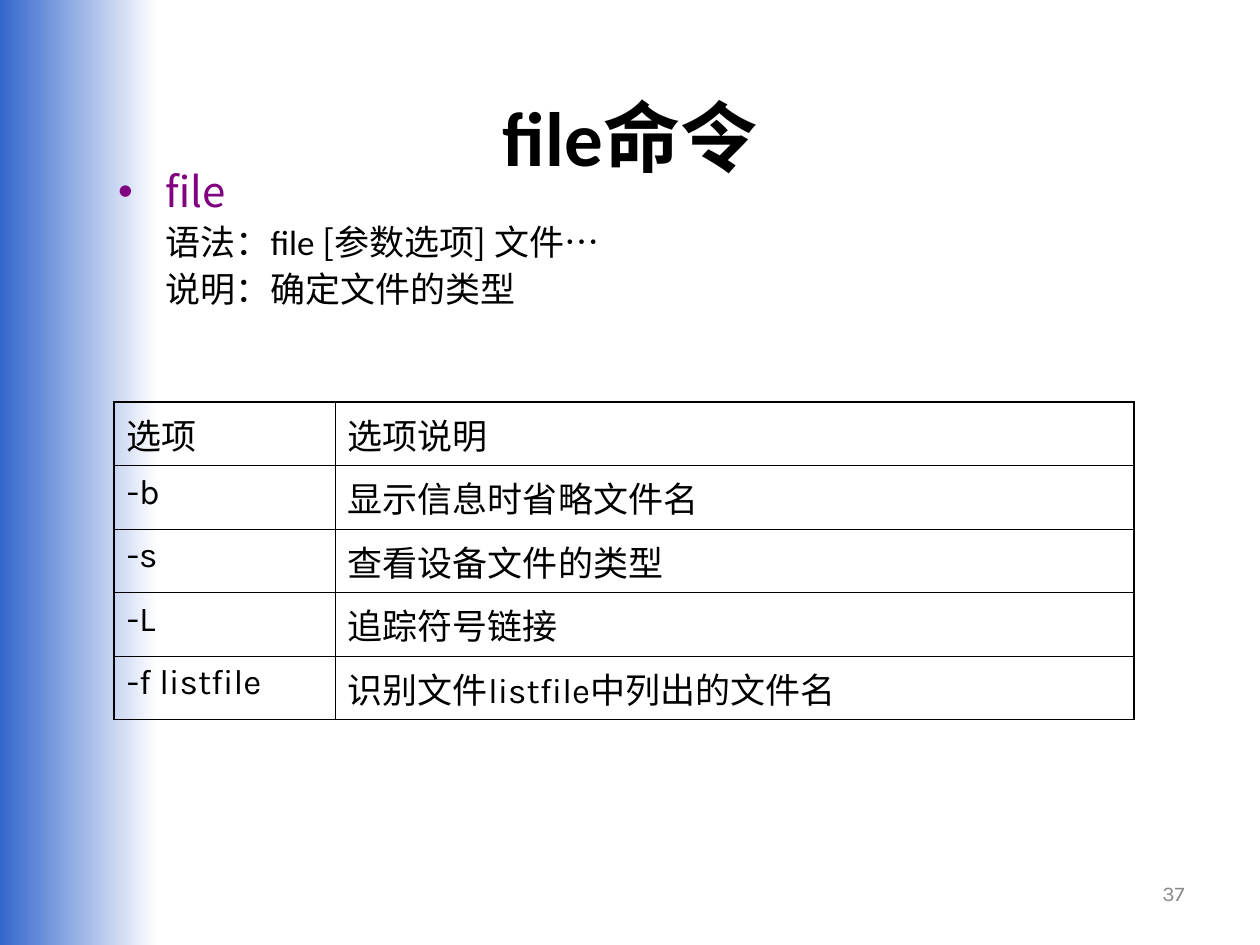
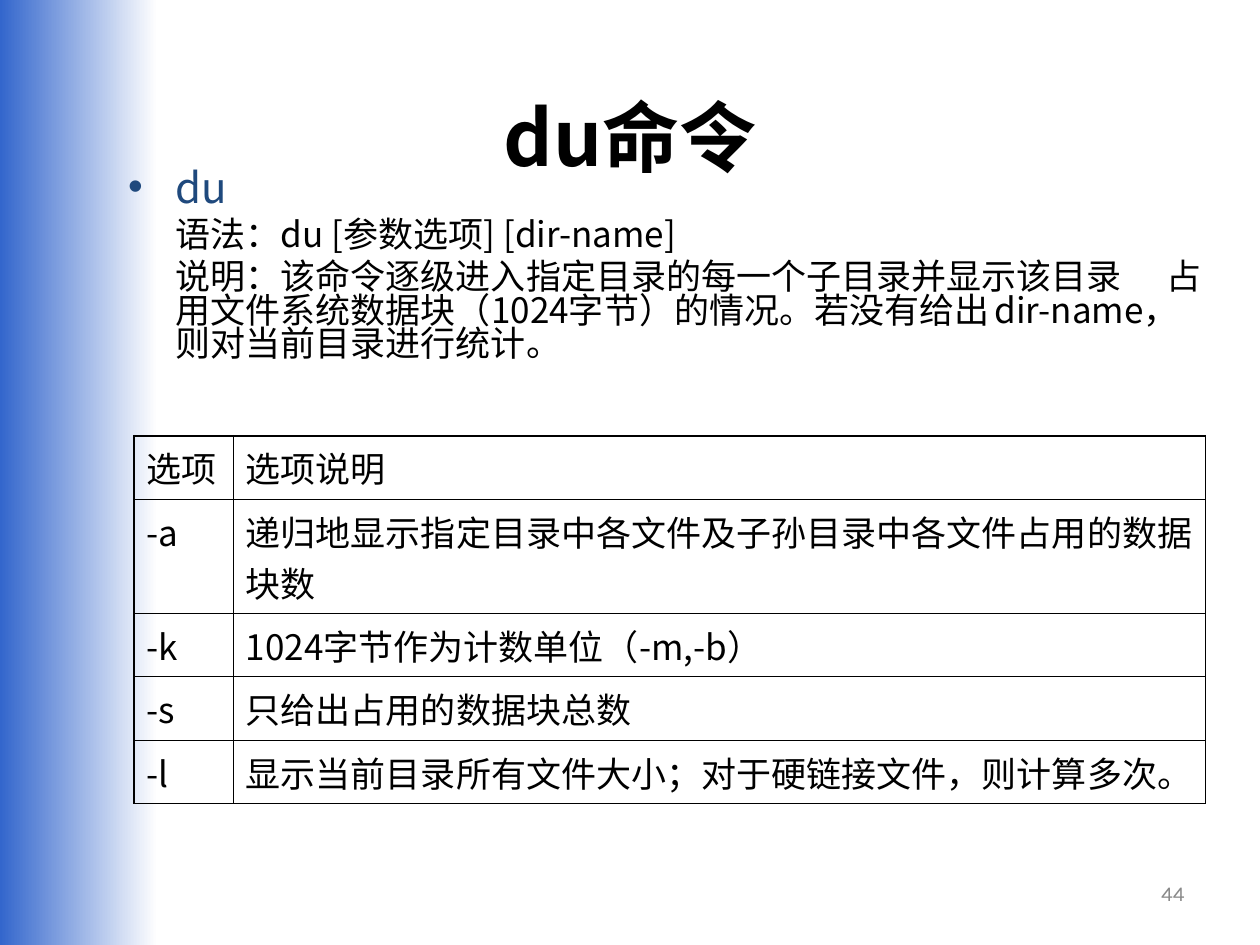
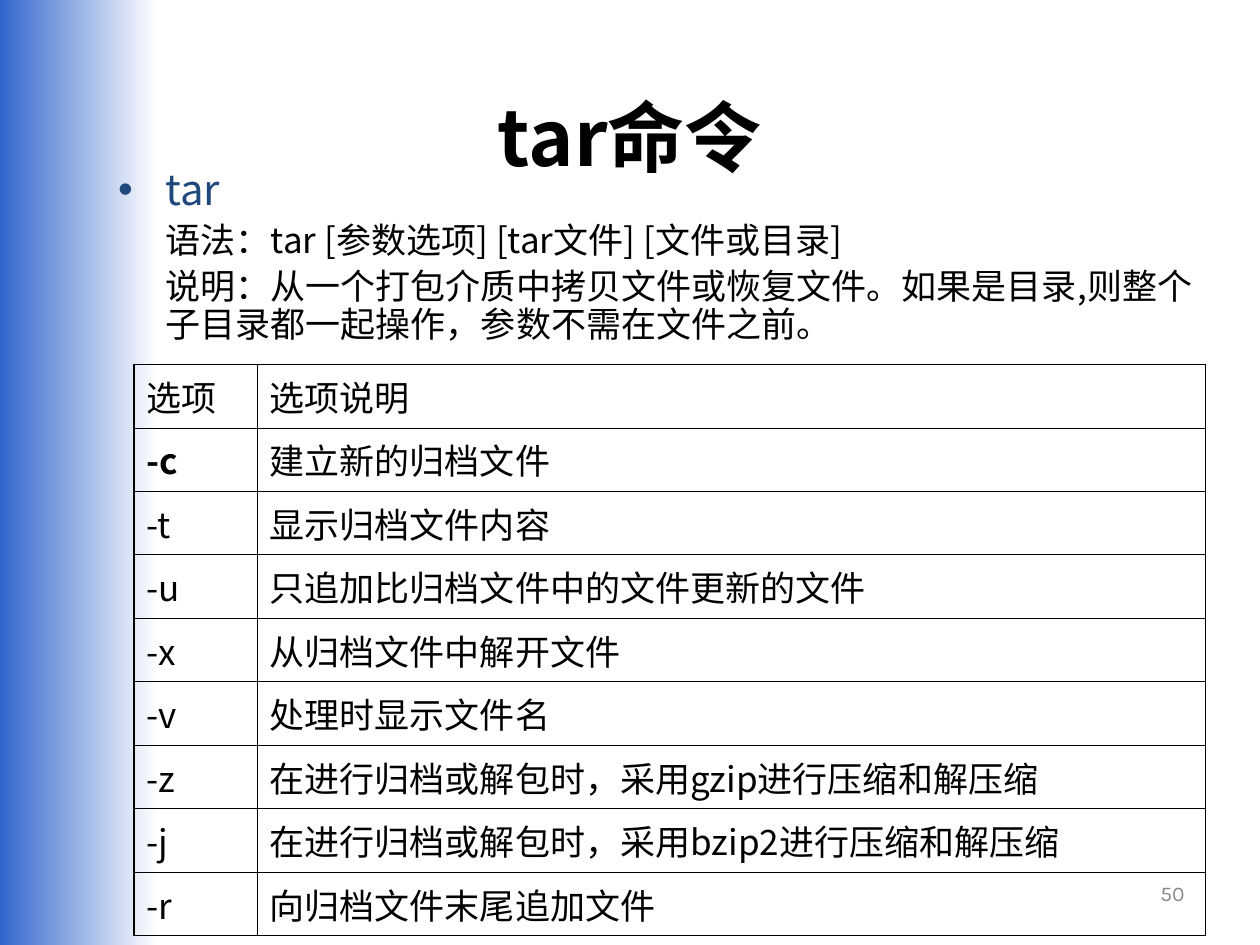
from lxml.etree import SubElement
from pptx import Presentation
from pptx.dml.color import RGBColor
from pptx.enum.shapes import MSO_SHAPE as Shape
from pptx.enum.text import MSO_ANCHOR as Anchor, PP_ALIGN as Align
from pptx.oxml.ns import qn
from pptx.util import Pt

BLUE = RGBColor(0x33, 0x66, 0xCC)
WHITE = RGBColor(0xFF, 0xFF, 0xFF)
BLACK = RGBColor(0x00, 0x00, 0x00)
PURPLE = RGBColor(0x80, 0x00, 0x80)
NAVY = RGBColor(0x1F, 0x49, 0x7D)
GRAY = RGBColor(0x89, 0x89, 0x89)

CJK = "Noto Sans CJK SC"
CALIBRI = "Calibri"
ARIAL = "Arial"
KARLA = "Karla"

SLIDE_WIDTH, SLIDE_HEIGHT = 720, 540
BAND_BOX = (0, 0, 90, SLIDE_HEIGHT)
TITLE_BOX = (36, 23, 648, 108.7)
NUMBER_BOX = (516.2, 491.8, 167.8, 37.4)
HANG = 27
ROW_HEIGHT = 36.28
THICK, THIN = 1.08, 0.45

COMMANDS = [
    dict(
        title=[("file命令", CALIBRI)],
        name="file", accent=PURPLE, number="37", spacing=0.9,
        intro_box=(60.5, 94.3, 571.7, 86.4),
        intro=[
            [("语法：file ", CALIBRI), ("[参数选项] 文件", CJK), ("…", ARIAL)],
            [("说明：确定文件的类型", CALIBRI)],
        ],
        table=dict(
            origin=(65.3, 229.9), widths=(126.2, 456.5), font=KARLA,
            options=[
                ("-b", "显示信息时省略文件名"),
                ("-s", "查看设备文件的类型"),
                ("-L", "追踪符号链接"),
                ("-f listfile", "识别文件listfile中列出的文件名"),
            ],
        ),
    ),
    dict(
        title=[("du", CJK), ("命令", CALIBRI)],
        name="du", accent=NAVY, number="44", spacing=0.8,
        intro_box=(66.2, 94.3, 634.3, 120.2),
        intro=[
            [("语法：du [参数选项] [dir-name]", CJK)],
            [("说明：该命令逐级进入指定目录的每一个子目录并显示该目录\t"
              "占用文件系统数据块（1024字节）的情况。若没有给出\t"
              "dir-name，则对当前目录进行统计。", CJK)],
        ],
        table=dict(
            origin=(76.5, 249), widths=(56.7, 555.6), font=CJK, heights={1: 65.2},
            options=[
                ("-a", "递归地显示指定目录中各文件及子孙目录中各文件占用的数据块数"),
                ("-k", "1024字节作为计数单位（-m,-b）"),
                ("-s", "只给出占用的数据块总数"),
                ("-l", "显示当前目录所有文件大小；对于硬链接文件，则计算多次。"),
            ],
        ),
    ),
    dict(
        title=[("tar", CJK), ("命令", CALIBRI)],
        name="tar", accent=NAVY, number="50", spacing=0.9,
        intro_box=(60.5, 92.9, 640, 108.7),
        intro=[
            [("语法：tar [参数选项] [tar文件] [文件或目录]", CJK)],
            [("说明：从一个打包介质中拷贝文件或恢复文件。如果是目录,则整个"
              "子目录都一起操作，参数不需在文件之前。", CJK)],
        ],
        table=dict(
            origin=(76.5, 208.3), widths=(70.4, 542), font=CJK, bottom=THIN, bold={"-c"},
            options=[
                ("-c", "建立新的归档文件"),
                ("-t", "显示归档文件内容"),
                ("-u", "只追加比归档文件中的文件更新的文件"),
                ("-x", "从归档文件中解开文件"),
                ("-v", "处理时显示文件名"),
                ("-z", "在进行归档或解包时，采用gzip进行压缩和解压缩"),
                ("-j", "在进行归档或解包时，采用bzip2进行压缩和解压缩"),
                ("-r", "向归档文件末尾追加文件"),
            ],
        ),
    ),
]


def add_span(para, text, font=CJK, size=20, color=BLACK, bold=False):
    """Append one formatted run to a paragraph."""
    span = para.add_run()
    span.text = text
    span.font.name = font
    span.font.size = Pt(size)
    span.font.bold = bold
    span.font.color.rgb = color
    SubElement(span.font._element, qn("a:ea"), typeface=CJK)


def add_text_frame(slide, box, anchor=Anchor.TOP):
    """Add a wrapping text box and return its frame."""
    frame = slide.shapes.add_textbox(*map(Pt, box)).text_frame
    frame.word_wrap = True
    frame.vertical_anchor = anchor
    return frame


def indent(para, bullet_color=None):
    """Indent a paragraph, hanging a bullet if a colour is given, with inch tab stops."""
    properties = para._p.get_or_add_pPr()
    properties.set("marL", str(Pt(HANG)))
    properties.set("indent", str(Pt(-HANG if bullet_color else 0)))
    if bullet_color:
        color = SubElement(properties, qn("a:buClr"))
        SubElement(color, qn("a:srgbClr"), val=str(bullet_color))
        SubElement(properties, qn("a:buFont"), typeface=ARIAL)
        SubElement(properties, qn("a:buChar"), char="•")
    else:
        SubElement(properties, qn("a:buNone"))
    tabs = SubElement(properties, qn("a:tabLst"))
    for stop in range(1, 9):
        SubElement(tabs, qn("a:tab"), pos=str(Pt(72 * stop)), algn="l")


def add_band(slide, box):
    """Draw the gradient band at the left edge."""
    band = slide.shapes.add_shape(Shape.RECTANGLE, *map(Pt, box))
    band.shadow.inherit = False
    band.line.fill.background()
    band.fill.gradient()
    band.fill.gradient_angle = 0
    for stop, color in zip(band.fill.gradient_stops, (BLUE, WHITE)):
        stop.color.rgb = color


def add_title(slide, box, parts):
    """Write the centred slide title."""
    para = add_text_frame(slide, box, Anchor.MIDDLE).paragraphs[0]
    para.alignment = Align.CENTER
    for text, font in parts:
        add_span(para, text, font=font, size=44, bold=True)


def add_intro(slide, box, name, accent, lines, spacing):
    """Write the bulleted command name and the lines that explain it."""
    frame = add_text_frame(slide, box)
    heading = frame.paragraphs[0]
    heading.line_spacing = spacing
    indent(heading, accent)
    add_span(heading, name, size=24, color=accent)
    for line in lines:
        para = frame.add_paragraph()
        para.line_spacing = spacing
        para.space_before = Pt(5)
        indent(para)
        for text, font in line:
            add_span(para, text, font=font)


def set_borders(cell, **widths):
    """Draw a cell's borders, given a width for each of L, R, T and B."""
    properties = cell._tc.get_or_add_tcPr()
    for position, side in enumerate("LRTB"):
        line = SubElement(properties, qn(f"a:ln{side}"), w=str(Pt(widths[side])))
        fill = SubElement(line, qn("a:solidFill"))
        SubElement(fill, qn("a:srgbClr"), val=str(BLACK))
        properties.insert(position, line)


def add_options(slide, origin, widths, font, options, heights=None, bottom=THICK, bold=()):
    """Build the table of options with a thick outline and thin inner lines."""
    rows = [("选项", "选项说明"), *options]
    sizes = [(heights or {}).get(index, ROW_HEIGHT) for index in range(len(rows))]
    box = (*origin, sum(widths), sum(sizes))
    table = slide.shapes.add_table(len(rows), len(widths), *map(Pt, box)).table
    table.first_row = table.horz_banding = False
    for column, width in zip(table.columns, widths):
        column.width = Pt(width)
    for row_index, (texts, size) in enumerate(zip(rows, sizes)):
        table.rows[row_index].height = Pt(size)
        for column_index, text in enumerate(texts):
            cell = table.cell(row_index, column_index)
            cell.fill.background()
            add_span(cell.text_frame.paragraphs[0], text, font=font, bold=text in bold)
            set_borders(
                cell,
                L=THIN if column_index else THICK,
                R=THICK if column_index else THIN,
                T=THIN if row_index else THICK,
                B=bottom if row_index == len(rows) - 1 else THIN,
            )


def add_number(slide, box, number):
    """Write the page number at the lower right."""
    para = add_text_frame(slide, box, Anchor.MIDDLE).paragraphs[0]
    para.alignment = Align.RIGHT
    add_span(para, number, font=KARLA, size=12, color=GRAY)


def add_command_slide(deck, title, name, accent, number, spacing, intro_box, intro, table):
    """Add a slide that explains one command."""
    slide = deck.slides.add_slide(deck.slide_layouts[6])
    add_band(slide, BAND_BOX)
    add_title(slide, TITLE_BOX, title)
    add_intro(slide, intro_box, name, accent, intro, spacing)
    add_options(slide, **table)
    add_number(slide, NUMBER_BOX, number)


def main():
    """Build the deck and save it."""
    deck = Presentation()
    deck.slide_width, deck.slide_height = Pt(SLIDE_WIDTH), Pt(SLIDE_HEIGHT)
    for command in COMMANDS:
        add_command_slide(deck, **command)
    deck.save("out.pptx")


if __name__ == "__main__":
    main()
